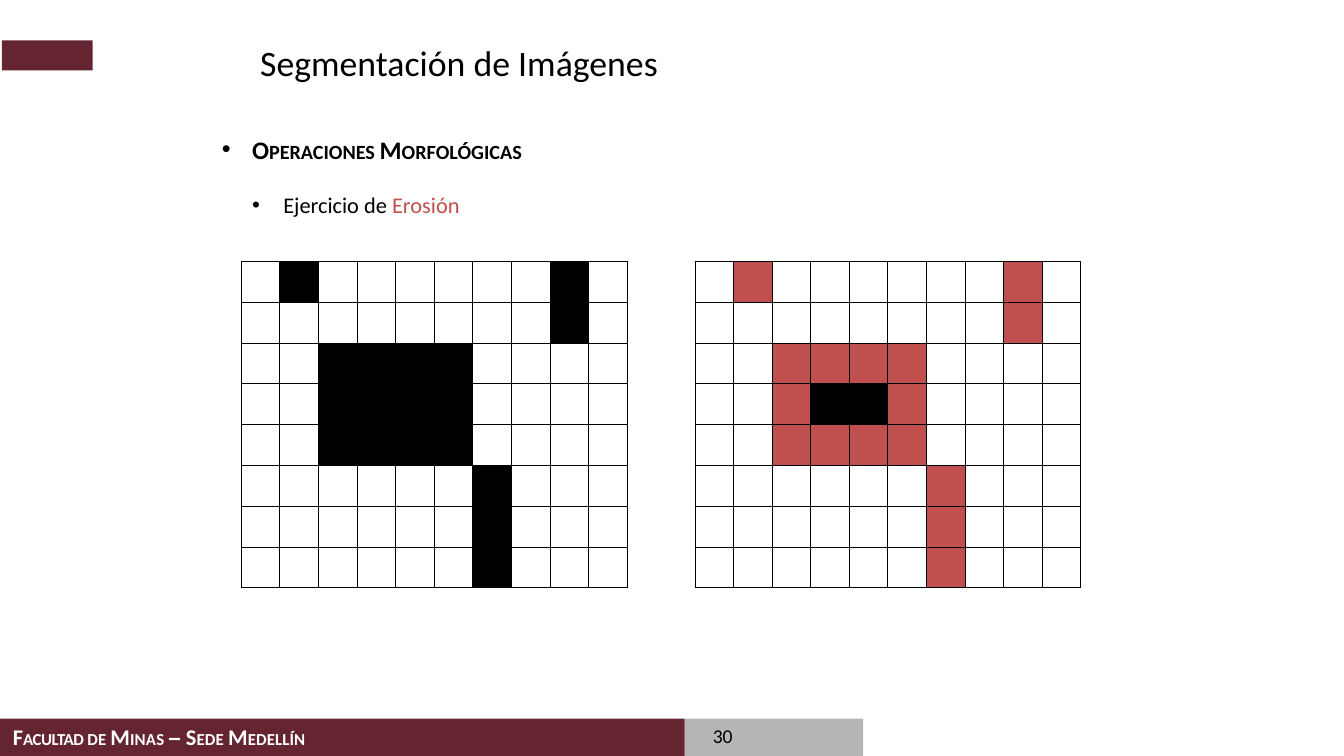
"""Builds a slide with an erosion exercise on two pixel grids."""
from lxml.etree import SubElement
from pptx import Presentation
from pptx.dml.color import RGBColor
from pptx.enum.shapes import MSO_SHAPE as Shape
from pptx.enum.text import MSO_ANCHOR as Anchor, MSO_AUTO_SIZE as AutoSize, PP_ALIGN as Align
from pptx.oxml.ns import qn
from pptx.util import Inches, Pt

BLACK, WHITE, MAROON, RED, GRAY = "000000", "FFFFFF", "642531", "C0504D", "7E7E7E"

TITLE = "Segmentación de Imágenes"
BULLETS = [
    {"level": 0, "margin": 0.3, "hanging": 0.3, "before": 0,
     "runs": [("Operaciones Morfológicas", {"size": 18, "bold": True, "small_caps": True})]},
    {"level": 1, "margin": 0.61, "hanging": 0.31, "before": 19.5,
     "runs": [("Ejercicio de ", {"size": 16}), ("Erosión", {"size": 16, "color": RED})]},
]
FOOTER = [
    ("F", 16, "Calibri", -0.3), ("ACULTAD ", 12, "Calibri", -0.3),
    ("DE ", 12, "Calibri", 0.1), ("M", 16, "Calibri", 0.1), ("INAS ", 12, "Calibri", 0.1),
    ("– ", 16, "Arial", -0.8), ("S", 16, "Calibri", 0.1), ("EDE ", 12, "Calibri", 0.1),
    ("M", 16, "Calibri", 0.1), ("EDELLÍN", 12, "Calibri", 0.1),
]
PAGE_NUMBER = "30"
BARS = [
    (6.79, 7.13, 1.77, 0.37, GRAY, 56),
    (0, 7.13, 6.79, 0.37, MAROON, 100),
    (0.02, 0.4, 0.9, 0.3, MAROON, 100),
]
PIXELS = [
    ".#......#.",
    "........#.",
    "..####....",
    "..####....",
    "..####....",
    "......#...",
    "......#...",
    "......#...",
]
GRID_TOP, GRID_WIDTH, GRID_HEIGHT = 2.59, 3.83, 3.24
ORIGINAL_LEFT, ERODED_LEFT = 2.39, 6.89


def rgb(value):
    return RGBColor.from_string(value)


def add_run(paragraph, text, size, color=BLACK, bold=False, font="Calibri",
            spacing=0, small_caps=False):
    run = paragraph.add_run()
    run.text = text
    run.font.size, run.font.bold, run.font.name = Pt(size), bold, font
    run.font.color.rgb = rgb(color)
    properties = run.font._element
    if spacing:
        properties.set("spc", str(round(spacing * 100)))
    if small_caps:
        properties.set("cap", "small")


def place(shape, left, top, width, height):
    shape.left, shape.top = Inches(left), Inches(top)
    shape.width, shape.height = Inches(width), Inches(height)


def set_frame(frame, horizontal, vertical, wrap=True):
    frame.margin_left = frame.margin_right = Inches(horizontal)
    frame.margin_top = frame.margin_bottom = Inches(vertical)
    frame.word_wrap, frame.auto_size = wrap, AutoSize.NONE
    frame.vertical_anchor = Anchor.TOP


def add_bar(slide, left, top, width, height, color, opacity):
    bar = slide.shapes.add_shape(Shape.RECTANGLE, *map(Inches, (left, top, width, height)))
    bar.shadow.inherit = False
    bar.line.fill.background()
    bar.fill.solid()
    bar.fill.fore_color.rgb = rgb(color)
    if opacity < 100:
        SubElement(bar._element.spPr.find(".//" + qn("a:srgbClr")), qn("a:alpha"),
                   val=str(opacity * 1000))


def add_label(slide, left, top, width, height, margins, indent):
    box = slide.shapes.add_textbox(*map(Inches, (left, top, width, height)))
    set_frame(box.text_frame, *margins, wrap=False)
    paragraph = box.text_frame.paragraphs[0]
    paragraph.line_spacing = Pt(14.3)
    paragraph._p.get_or_add_pPr().set("marL", str(Inches(indent)))
    return paragraph


def fill_bullets(frame):
    for index, bullet in enumerate(BULLETS):
        paragraph = frame.add_paragraph() if index else frame.paragraphs[0]
        paragraph.level = bullet["level"]
        paragraph.space_before = Pt(bullet["before"])
        properties = paragraph._p.get_or_add_pPr()
        properties.set("marL", str(Inches(bullet["margin"])))
        properties.set("indent", str(-Inches(bullet["hanging"])))
        SubElement(properties, qn("a:buFont"), typeface="Arial")
        SubElement(properties, qn("a:buChar"), char="•")
        for text, style in bullet["runs"]:
            add_run(paragraph, text, **style)


def is_set(row, column):
    return (0 <= row < len(PIXELS) and 0 <= column < len(PIXELS[0])
            and PIXELS[row][column] == "#")


def original_color(row, column):
    return BLACK if is_set(row, column) else WHITE


def eroded_color(row, column):
    if not is_set(row, column):
        return WHITE
    survives = all(is_set(row + down, column + across)
                   for down in (-1, 0, 1) for across in (-1, 0, 1))
    return BLACK if survives else RED


def style_cell(cell, color):
    cell.margin_top = cell.margin_bottom = 0
    properties = cell._tc.get_or_add_tcPr()
    for side in ("lnL", "lnR", "lnT", "lnB"):
        border = SubElement(properties, qn("a:" + side), w=str(Pt(0.25)))
        SubElement(SubElement(border, qn("a:solidFill")), qn("a:srgbClr"), val=BLACK)
    cell.fill.solid()
    cell.fill.fore_color.rgb = rgb(color)


def add_grid(slide, left, color_of):
    rows, columns = len(PIXELS), len(PIXELS[0])
    table = slide.shapes.add_table(
        rows, columns, *map(Inches, (left, GRID_TOP, GRID_WIDTH, GRID_HEIGHT))).table
    table.first_row = table.horz_banding = False
    for row in range(rows):
        for column in range(columns):
            style_cell(table.cell(row, column), color_of(row, column))


def main():
    presentation = Presentation()
    presentation.slide_width, presentation.slide_height = Inches(13.33), Inches(7.5)
    slide = presentation.slides.add_slide(presentation.slide_layouts[1])
    for bar in BARS:
        add_bar(slide, *bar)

    footer = add_label(slide, 0.02, 7.19, 3.27, 0.31, (0.1, 0.05), 0.01)
    for text, size, font, spacing in FOOTER:
        add_run(footer, text, size, WHITE, True, font, spacing)

    title = slide.shapes.title
    place(title, 2.58, 0.4, 7.98, 0.43)
    set_frame(title.text_frame, 0, 0)
    heading = title.text_frame.paragraphs[0]
    heading.alignment = Align.LEFT
    add_run(heading, TITLE, 25.5)

    body = slide.placeholders[1]
    place(body, 2.1, 1.28, 9.07, 5.54)
    set_frame(body.text_frame, 0.1, 0.05)
    fill_bullets(body.text_frame)

    add_grid(slide, ORIGINAL_LEFT, original_color)
    add_grid(slide, ERODED_LEFT, eroded_color)

    number = add_label(slide, 7.03, 7.22, 0.28, 0.22, (0, 0), 0.04)
    add_run(number, PAGE_NUMBER, 14, spacing=-0.1)
    presentation.save("out.pptx")


if __name__ == "__main__":
    main()
